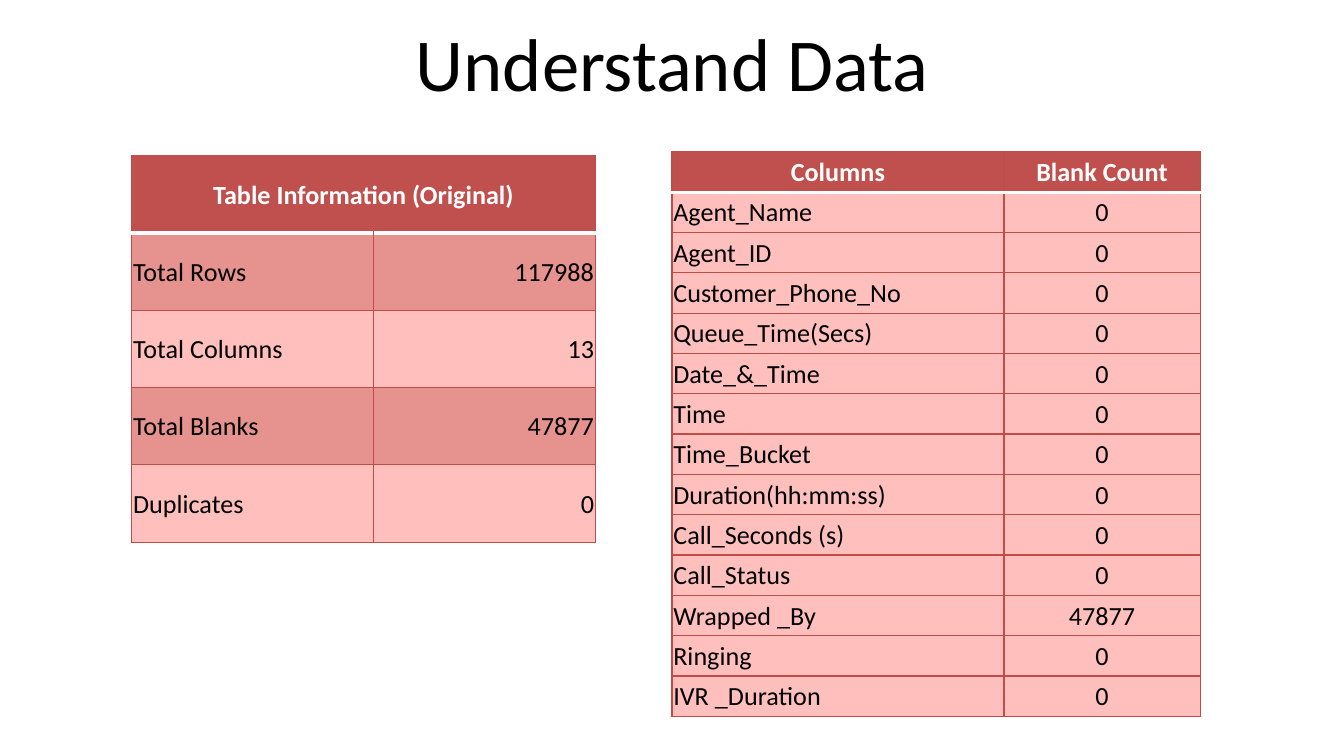
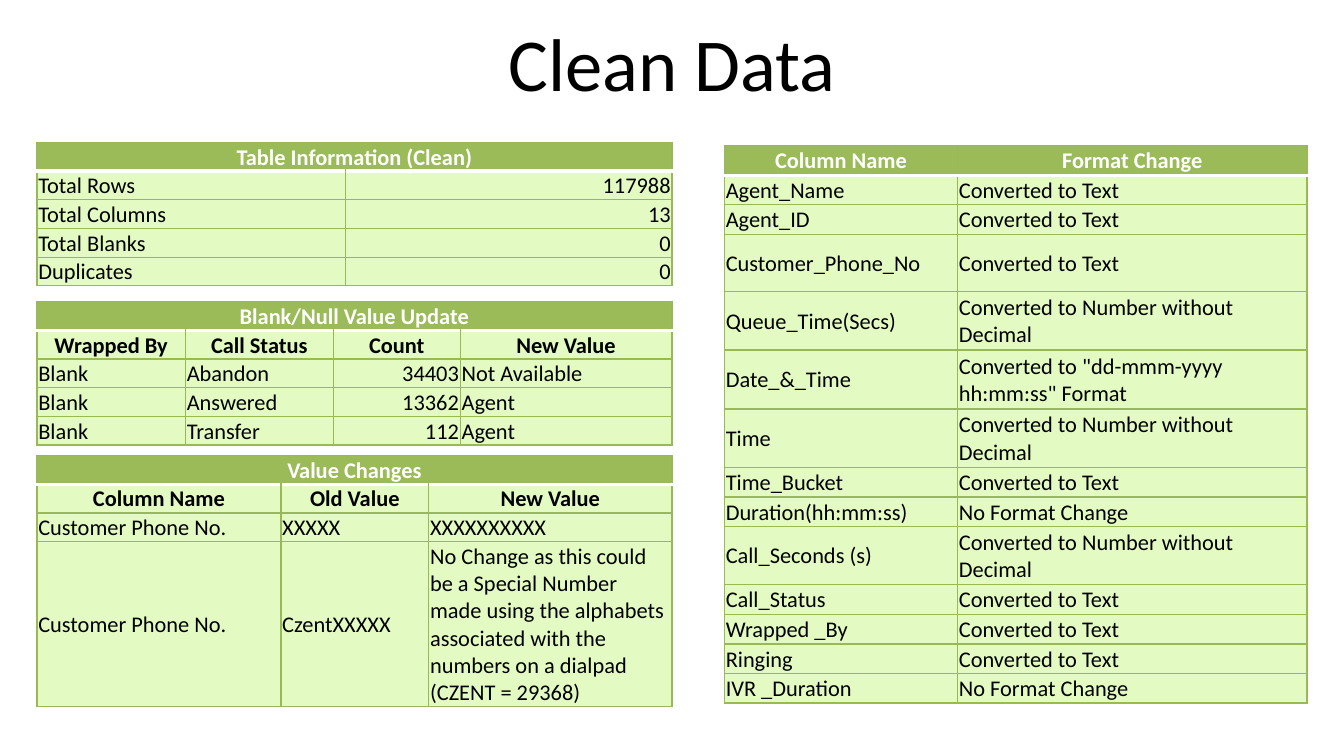
from collections import namedtuple

from lxml import etree
from pptx import Presentation
from pptx.dml.color import RGBColor
from pptx.enum.text import MSO_ANCHOR, PP_ALIGN
from pptx.oxml.ns import qn
from pptx.util import Pt

PX = 4572
FONT = "Calibri"
TITLE_ONLY = 5
MIDDLE = MSO_ANCHOR.MIDDLE
CENTER = PP_ALIGN.CENTER
ALIGN = {"l": PP_ALIGN.LEFT, "c": CENTER, "r": PP_ALIGN.RIGHT}

WHITE = RGBColor(0xFF, 0xFF, 0xFF)
BLACK = RGBColor(0x00, 0x00, 0x00)
RED = RGBColor(0xC0, 0x50, 0x4D)
RED_LINE = RGBColor(0xBF, 0x4C, 0x48)
RED_LIGHT = RGBColor(0xFF, 0xBF, 0xBD)
RED_BAND = RGBColor(0xE6, 0x93, 0x90)
GREEN = RGBColor(0x9B, 0xBB, 0x59)
GREEN_LINE = RGBColor(0x98, 0xB9, 0x55)
GREEN_LIGHT = RGBColor(0xE3, 0xFB, 0xC2)

Box = namedtuple("Box", "left top width height")
Look = namedtuple("Look", "head line body band size")
RED_LOOK = Look(RED, RED_LINE, RED_LIGHT, RED_BAND, 14)
GREEN_LOOK = Look(GREEN, GREEN_LINE, GREEN_LIGHT, GREEN_LIGHT, 12)

TITLE_BOX = Box(55, 0, 1890, 184)
FIELDS = [
    "Agent_Name", "Agent_ID", "Customer_Phone_No", "Queue_Time(Secs)",
    "Date_&_Time", "Time", "Time_Bucket", "Duration(hh:mm:ss)",
    "Call_Seconds (s)", "Call_Status", "Wrapped _By", "Ringing", "IVR _Duration",
]
BLANK_COUNTS = {"Wrapped _By": "47877"}
TEXT = "Converted to Text"
NUMBER = "Converted to Number without Decimal"
UNCHANGED = "No Format Change"
FORMATS = {
    "Queue_Time(Secs)": NUMBER,
    "Date_&_Time": 'Converted to "dd-mmm-yyyy hh:mm:ss" Format',
    "Time": NUMBER,
    "Duration(hh:mm:ss)": UNCHANGED,
    "Call_Seconds (s)": NUMBER,
    "IVR _Duration": UNCHANGED,
}


def px(length):
    return length * PX


def write(frame, text, size, color, align, bold=False):
    para = frame.paragraphs[0]
    para.alignment = align
    span = para.add_run()
    span.text = text
    span.font.name = FONT
    span.font.size = Pt(size)
    span.font.bold = bold
    span.font.color.rgb = color


def add_page(deck, title):
    page = deck.slides.add_slide(deck.slide_layouts[TITLE_ONLY])
    holder = page.shapes.title
    holder.left, holder.top, holder.width, holder.height = map(px, TITLE_BOX)
    holder.text_frame.vertical_anchor = MIDDLE
    write(holder.text_frame, title, 40, BLACK, CENTER)
    return page


def draw_border(cell, side, color, width):
    line = etree.SubElement(cell._tc.get_or_add_tcPr(), qn(f"a:ln{side}"), w=str(Pt(width)))
    fill = etree.SubElement(line, qn("a:solidFill"))
    etree.SubElement(fill, qn("a:srgbClr"), val=str(color))


def style_cell(cell, row, look):
    white_edge = {0: "B", 1: "T"}.get(row)
    for side in "LRTB":
        if side == white_edge:
            draw_border(cell, side, WHITE, 2)
        else:
            draw_border(cell, side, look.line, 0.75)
    cell.fill.solid()
    if row == 0:
        cell.fill.fore_color.rgb = look.head
    else:
        cell.fill.fore_color.rgb = look.band if row % 2 else look.body
    cell.vertical_anchor = MIDDLE
    cell.margin_left = cell.margin_top = cell.margin_right = px(2)
    cell.margin_bottom = 0


def add_grid(page, box, look, widths, heights, aligns, rows, heads=1):
    frame = page.shapes.add_table(len(rows), len(widths), *map(px, box))
    table = frame.table
    table.horz_banding = False
    for column, width in zip(table.columns, widths):
        column.width = px(width)
    for line, height in zip(table.rows, heights):
        line.height = px(height)
    frame.width, frame.height = px(box.width), px(box.height)
    if len(rows[0]) == 1:
        table.cell(0, 0).merge(table.cell(0, len(widths) - 1))
    for r, values in enumerate(rows):
        for c in range(len(widths)):
            style_cell(table.cell(r, c), r, look)
        for c, value in enumerate(values):
            is_head = r < heads
            write(table.cell(r, c).text_frame, value, look.size,
                  BLACK if r else WHITE, CENTER if is_head else ALIGN[aligns[c]], is_head)


def summary_rows(state, blanks):
    return [
        [f"Table Information ({state})"],
        ["Total Rows", "117988"],
        ["Total Columns", "13"],
        ["Total Blanks", blanks],
        ["Duplicates", "0"],
    ]


def build_understand(deck):
    page = add_page(deck, "Understand Data")
    add_grid(page, Box(196, 232, 690, 575), RED_LOOK, [360, 330], [115] * 5, "lr",
             summary_rows("Original", "47877"))
    counts = [[field, BLANK_COUNTS.get(field, "0")] for field in FIELDS]
    plain = RED_LOOK._replace(band=RED_LIGHT)
    add_grid(page, Box(1000, 226, 786, 840), plain, [494, 292], [60] * 14, "lc",
             [["Columns", "Blank Count"]] + counts)


def build_clean(deck):
    page = add_page(deck, "Clean Data")
    add_grid(page, Box(55, 212, 945, 208), GREEN_LOOK, [459, 486], [38] * 5, "lr",
             summary_rows("Clean", "0"))
    add_grid(page, Box(55, 449, 945, 208), GREEN_LOOK, [221, 220, 189, 315], [40] * 5, "llrl", [
        ["Blank/Null Value Update"],
        ["Wrapped By", "Call Status", "Count", "New Value"],
        ["Blank", "Abandon", "34403", "Not Available"],
        ["Blank", "Answered", "13362", "Agent"],
        ["Blank", "Transfer", "112", "Agent"],
    ], heads=2)
    add_grid(page, Box(55, 678, 945, 366), GREEN_LOOK, [363, 220, 362], [36, 36, 36, 218], "lll", [
        ["Value Changes"],
        ["Column Name", "Old Value", "New Value"],
        ["Customer Phone No.", "XXXXX", "XXXXXXXXXX"],
        ["Customer Phone No.", "CzentXXXXX",
         "No Change as this could be a Special Number made using the alphabets "
         "associated with the numbers on a dialpad (CZENT = 29368)"],
    ], heads=2)
    changes = [[field, FORMATS.get(field, TEXT)] for field in FIELDS]
    heights = [44, 44, 44, 85, 87, 88, 87, 44, 44, 87, 44, 44, 44, 44]
    add_grid(page, Box(1078, 217, 867, 834), GREEN_LOOK, [347, 520], heights, "ll",
             [["Column Name", "Format Change"]] + changes)


def main():
    deck = Presentation()
    deck.slide_width, deck.slide_height = px(2000), px(1125)
    build_understand(deck)
    build_clean(deck)
    deck.save("out.pptx")


if __name__ == "__main__":
    main()
